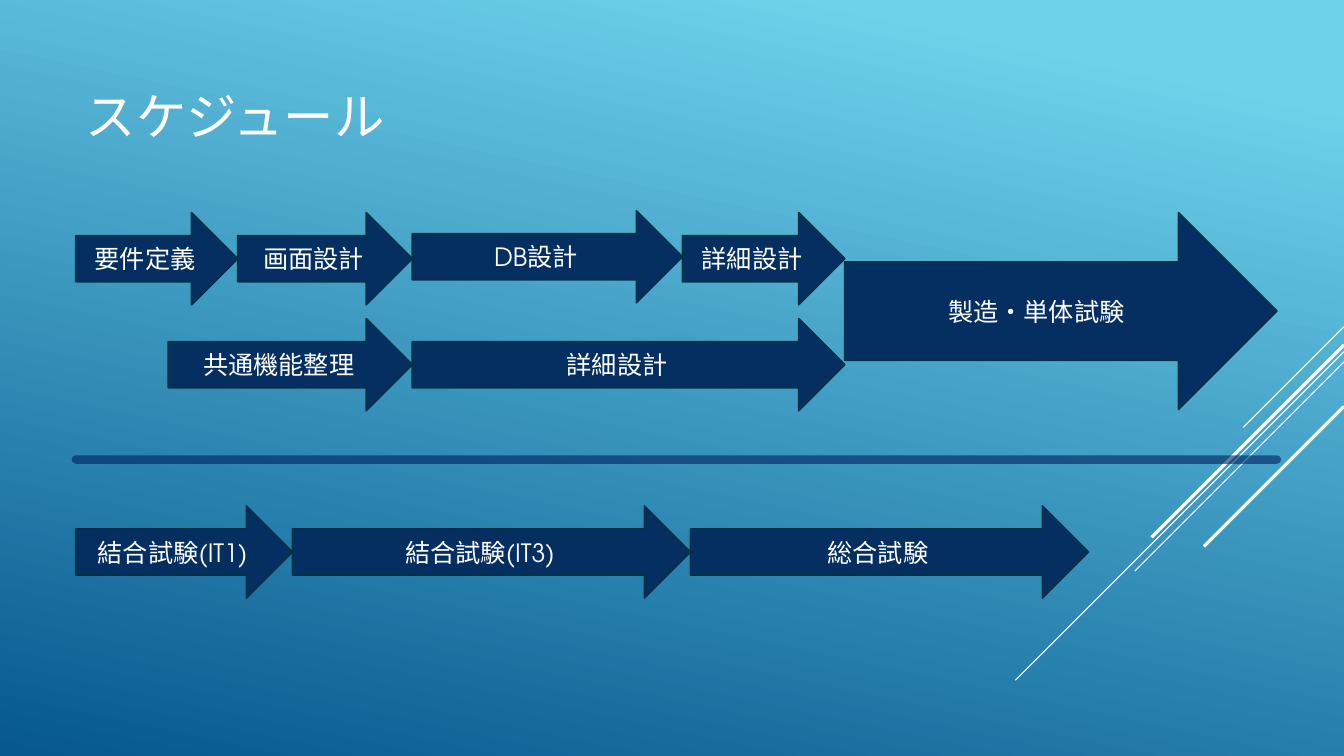
"""Build the project schedule slide with chains of phase arrows."""
from lxml import etree
from pptx import Presentation
from pptx.dml.color import RGBColor
from pptx.enum.shapes import MSO_CONNECTOR, MSO_SHAPE
from pptx.enum.text import MSO_ANCHOR, PP_ALIGN
from pptx.oxml.ns import qn
from pptx.util import Cm, Pt

RIGHT_ARROW = MSO_SHAPE.RIGHT_ARROW
STRAIGHT = MSO_CONNECTOR.STRAIGHT
MIDDLE = MSO_ANCHOR.MIDDLE
CENTER = PP_ALIGN.CENTER

SKY = RGBColor(0x6E, 0xD2, 0xEB)
DEEP_BLUE = RGBColor(0x06, 0x58, 0x8E)
NAVY = RGBColor(0x05, 0x2F, 0x61)
OUTLINE = RGBColor(0x04, 0x31, 0x48)
DIVIDER_BLUE = RGBColor(0x00, 0x20, 0x60)
WHITE = RGBColor(0xFF, 0xFF, 0xFF)
FONT = "TeX Gyre Adventor"

SLIDE_WIDTH = 33.87
LEFT, RIGHT = 1.91, 32.18
ARROW_HEIGHT = 2.32


def add_line(x1, y1, x2, y2, color, width):
    line = slide.shapes.add_connector(STRAIGHT, Cm(x1), Cm(y1), Cm(x2), Cm(y2))
    line.line.color.rgb = color
    line.line.width = Pt(width)
    etree.SubElement(line._element.spPr, qn("a:effectLst"))
    return line


def write(frame, text, size):
    frame.word_wrap = True
    frame.vertical_anchor = MIDDLE
    paragraph = frame.paragraphs[0]
    paragraph.text = text
    paragraph.font.name = FONT
    paragraph.font.size = Pt(size)
    paragraph.font.color.rgb = WHITE
    return paragraph


prs = Presentation()
prs.slide_width, prs.slide_height = Cm(SLIDE_WIDTH), Cm(19.05)
slide = prs.slides.add_slide(prs.slide_layouts[6])

backdrop = slide.background.fill
backdrop.gradient()
backdrop.gradient_angle = 258
for stop, color, position in zip(backdrop.gradient_stops, (SKY, DEEP_BLUE), (0.1, 1)):
    stop.color.rgb = color
    stop.position = position

for start_y, run, width in [
    (8.23, 2.54, 0.75),
    (8.86, 8.28, 0.75),
    (9.12, 5.27, 0.75),
    (8.69, 4.85, 2.25),
    (10.24, 3.53, 2.25),
]:
    add_line(SLIDE_WIDTH, start_y, SLIDE_WIDTH - run, start_y + run, WHITE, width)

title = slide.shapes.add_textbox(Cm(LEFT), Cm(0.81), Cm(29.29), Cm(4.19))
write(title.text_frame, "スケジュール", 36)

phase_chains = [
    (5.36, ARROW_HEIGHT, [LEFT, 5.99, 10.39], ["要件定義", "画面設計"]),
    (5.31, ARROW_HEIGHT, [10.39, 17.2], ["DB設計"]),
    (5.36, ARROW_HEIGHT, [17.2, 21.29], ["詳細設計"]),
    (8.03, ARROW_HEIGHT, [4.24, 10.39, 21.29], ["共通機能整理", "詳細設計"]),
    (5.36, 4.96, [21.29, RIGHT], ["製造・単体試験"]),
    (12.75, ARROW_HEIGHT, [LEFT, 7.37, 17.4, 27.43],
     ["結合試験(IT1)", "結合試験(IT3)", "総合試験"]),
]
for top, height, edges, phases in phase_chains:
    for start, end, phase in zip(edges, edges[1:], phases):
        arrow = slide.shapes.add_shape(
            RIGHT_ARROW, Cm(start), Cm(top), Cm(end - start), Cm(height))
        arrow.shadow.inherit = False
        arrow.fill.solid()
        arrow.fill.fore_color.rgb = NAVY
        arrow.line.color.rgb = OUTLINE
        arrow.line.width = Pt(1.25)
        write(arrow.text_frame, phase, 18).alignment = CENTER

divider = add_line(LEFT, 11.58, RIGHT, 11.58, DIVIDER_BLUE, 6)
divider_ln = divider.line._get_or_add_ln()
divider_ln.set("cap", "rnd")
etree.SubElement(divider_ln.find(".//" + qn("a:srgbClr")), qn("a:alpha"), val="60000")

prs.save("out.pptx")
